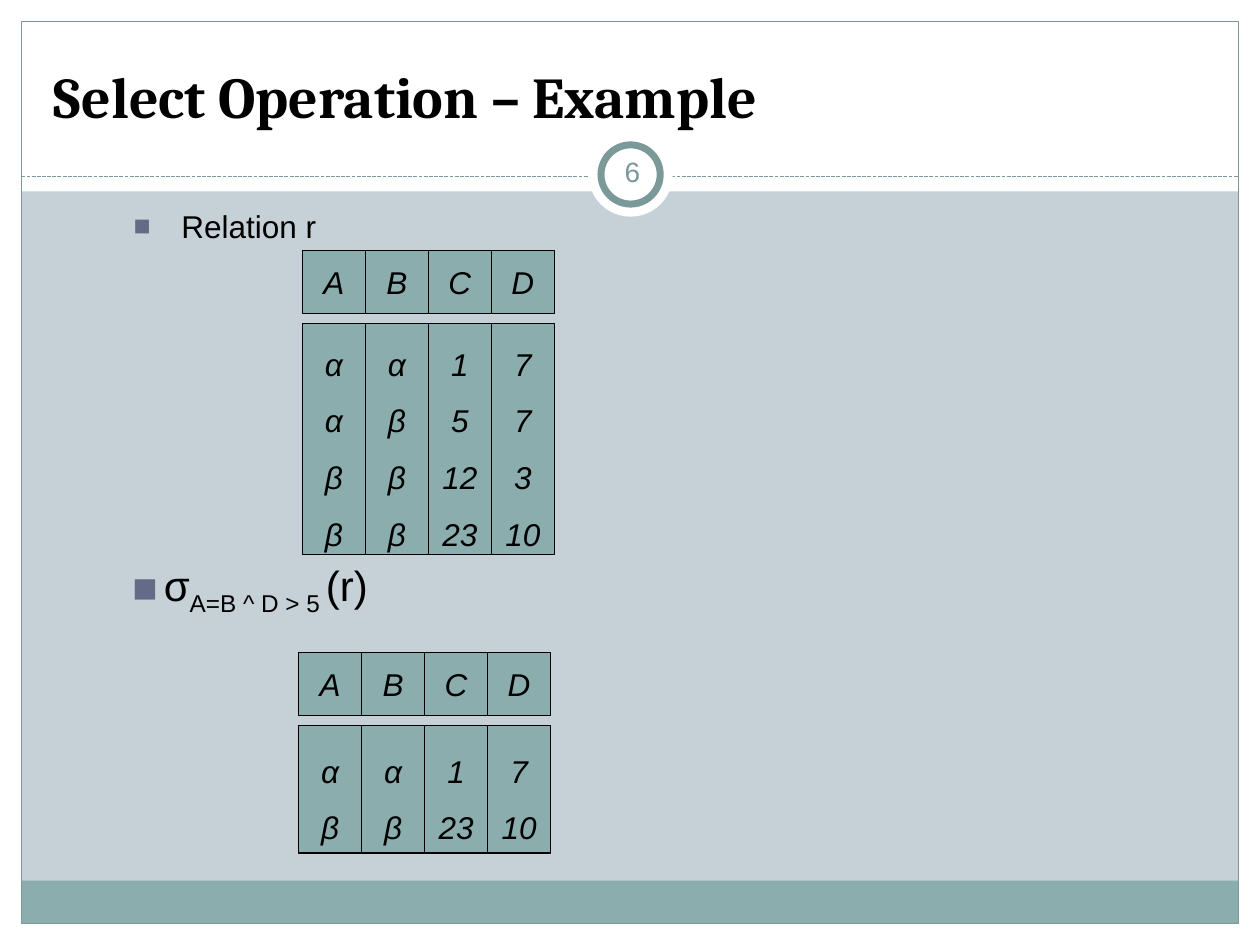
import pptx
import pptx.util
import pptx.dml.color
import pptx.enum.dml
import pptx.enum.shapes
import pptx.enum.text
import pptx.oxml.ns
import lxml.etree

Inches = pptx.util.Inches
Shapes = pptx.enum.shapes.MSO_SHAPE
Anchor = pptx.enum.text.MSO_ANCHOR
Align = pptx.enum.text.PP_ALIGN

WHITE, BLACK = "FFFFFF", "000000"
TEAL, EDGE, BULLET = "8CADAE", "7C999A", "646B86"
CELL = 0.5
BODY = {"name": "Arial", "size": 18}
ITALIC = {**BODY, "italic": True}


def colour(value):
    return pptx.dml.color.RGBColor.from_string(value)


def place(box):
    return [Inches(length) for length in box]


def set_font(font, formats, shade=BLACK):
    for name, value in formats.items():
        setattr(font, name, pptx.util.Pt(value) if name == "size" else value)
    font.color.rgb = colour(shade)


def add_child(parent, tag, **attributes):
    child = lxml.etree.SubElement(parent, pptx.oxml.ns.qn(tag))
    for name, value in attributes.items():
        child.set(name, value)
    return child


def add_shape(page, kind, box, fill=None, line=None, width=0.75):
    shape = page.shapes.add_shape(kind, *place(box))
    shape.shadow.inherit = False
    if fill:
        shape.fill.solid()
        shape.fill.fore_color.rgb = colour(fill)
    else:
        shape.fill.background()
    if line:
        shape.line.color.rgb = colour(line)
        shape.line.width = pptx.util.Pt(width)
    else:
        shape.line.fill.background()
    return shape


def add_text_box(page, box, anchor, wrap=True):
    frame = page.shapes.add_textbox(*place(box)).text_frame
    frame.word_wrap = wrap
    frame.vertical_anchor = anchor
    return frame


def add_span(para, text, formats, shade=BLACK):
    span = para.add_run()
    span.text = text
    set_font(span.font, formats, shade)
    return span


def add_bullet(para, indent, size=100):
    para.alignment = Align.CENTER
    settings = para._p.get_or_add_pPr()
    settings.set("marL", str(Inches(indent)))
    settings.set("indent", str(-Inches(indent)))
    add_child(add_child(settings, "a:buClr"), "a:srgbClr", val=BULLET)
    add_child(settings, "a:buSzPct", val=str(size * 1000))
    add_child(settings, "a:buFont", typeface="Arial")
    add_child(settings, "a:buChar", char="■")


def add_frame(page, box):
    left, top, width, height = box
    margin, rule, footer = 0.17, 1.4, 0.34
    inner_width, inner_height = width - 2 * margin, height - 2 * margin
    right, bottom = left + width - margin, top + height - margin
    for band in (
        (left, bottom, width, margin),
        (left, top, width, 1.52),
        (left, top, margin, height),
        (right, top, margin, height),
    ):
        add_shape(page, Shapes.RECTANGLE, band, WHITE)
    add_shape(page, Shapes.RECTANGLE, (left + margin, bottom - footer, inner_width, footer), TEAL)
    add_shape(page, Shapes.RECTANGLE, (left + margin, top + margin, inner_width, inner_height), line=EDGE)
    line = page.shapes.add_connector(
        pptx.enum.shapes.MSO_CONNECTOR.STRAIGHT,
        *place((left + margin, top + rule, right, top + rule)),
    )
    line.line.color.rgb = colour(EDGE)
    line.line.width = pptx.util.Pt(0.75)
    line.line.dash_style = pptx.enum.dml.MSO_LINE.SQUARE_DOT
    add_child(line._element.spPr, "a:effectLst")


def add_badge(page, box, number):
    left, top, width, height = box
    inset = 0.1
    add_shape(page, Shapes.OVAL, box, WHITE)
    ring = (left + inset, top + inset, width - 2 * inset, height - 2 * inset)
    add_shape(page, Shapes.OVAL, ring, WHITE, EDGE, 4)
    frame = add_text_box(page, (left + inset, top + 0.07, 0.5, 0.48), Anchor.MIDDLE)
    for side in ("left", "top", "right", "bottom"):
        setattr(frame, f"margin_{side}", Inches(0.05))
    para = frame.paragraphs[0]
    para.alignment = Align.CENTER
    add_span(para, number, {"name": "Arial", "size": 16}, "7B9899")


def add_title(page, box, text):
    para = add_text_box(page, box, Anchor.BOTTOM).paragraphs[0]
    add_span(para, text, {"name": "Cambria", "size": 33, "bold": True})


def add_relation_label(page, box, text):
    para = add_text_box(page, box, Anchor.TOP).paragraphs[0]
    add_bullet(para, 0.38, 90)
    add_span(para, text, BODY)


def add_selection_label(page, box, symbol, condition, relation):
    para = add_text_box(page, box, Anchor.MIDDLE, wrap=False).paragraphs[0]
    add_bullet(para, 0.25)
    large = {"name": "Arial", "size": 24}
    add_span(para, symbol, large)
    for text, size in ((condition, 24), (" ", 20)):
        span = add_span(para, text, {"name": "Arial", "size": size})
        span._r.get_or_add_rPr().set("baseline", "-25000")
    add_span(para, relation, large)


def add_cell(page, box, values, spacing):
    shape = add_shape(page, Shapes.RECTANGLE, box, TEAL, BLACK)
    frame = shape.text_frame
    frame.word_wrap = False
    frame.vertical_anchor = Anchor.MIDDLE
    for index, value in enumerate(values):
        para = frame.add_paragraph() if index else frame.paragraphs[0]
        para.alignment = Align.CENTER
        para.line_spacing = spacing
        add_span(para, value, ITALIC)


def add_relation(page, box, rows):
    left, top, width, height = box
    body_top = CELL + 0.08
    for index, (name, values) in enumerate(zip("ABCD", zip(*rows))):
        x = left + index * CELL
        add_cell(page, (x, top, CELL, CELL), [name], 1.0)
        add_cell(page, (x, top + body_top, CELL, height - body_top), values, 1.5)


def main():
    deck = pptx.Presentation()
    deck.slide_width, deck.slide_height = Inches(10), Inches(7.5)
    page = deck.slides.add_slide(deck.slide_layouts[6])
    page.background.fill.solid()
    page.background.fill.fore_color.rgb = colour("C5D1D7")

    rows = [
        ("α", "α", "1", "7"),
        ("α", "β", "5", "7"),
        ("β", "β", "12", "3"),
        ("β", "β", "23", "10"),
    ]
    selected = [row for row in rows if row[0] == row[1] and int(row[3]) > 5]

    add_frame(page, (0, 0, 10, 7.5))
    add_badge(page, (4.67, 1.05, 0.67, 0.67), "6")
    add_title(page, (0.33, 0.25, 9.33, 0.83), "Select Operation – Example")
    add_relation_label(page, (0.89, 1.59, 1.79, 0.4), "Relation r")
    add_relation(page, (2.4, 1.99, 2, 2.41), rows)
    add_selection_label(page, (0.87, 4.42, 2.23, 0.5), "σ", "A=B ^ D > 5", "(r)")
    add_relation(page, (2.37, 5.18, 2, 1.59), selected)
    deck.save("out.pptx")


if __name__ == "__main__":
    main()
